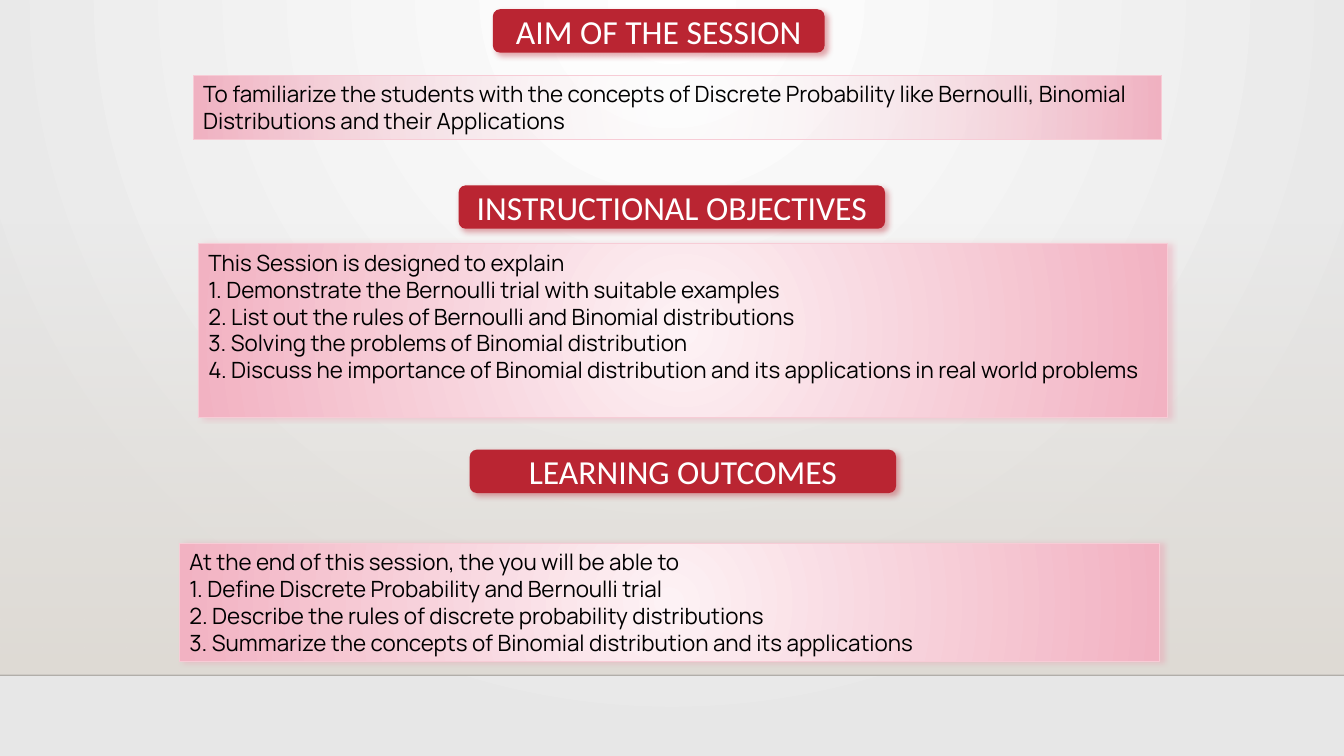
from dataclasses import dataclass

from lxml import etree
from pptx import Presentation, util as u
from pptx.dml.color import RGBColor
from pptx.enum import shapes, text
from pptx.oxml import ns


@dataclass(frozen=True)
class Theme:
    red: str = "BA2532"
    blush: str = "FDF2F5"
    pink: str = "F2B2C2"
    edge: str = "F7CCD6"
    rose: str = "EE99AD"
    white: str = "FFFFFF"
    grey: str = "E7E7E7"
    sand: str = "DFDBD5"
    ink: str = "000000"
    heading_font: str = "Calibri"
    body_font: str = "Manrope"
    heading_size: int = 24
    body_size: int = 16


def rgb(value):
    return RGBColor.from_string(value)


def child(parent, tag, **attributes):
    node = etree.SubElement(parent, ns.qn(tag))
    for name, value in attributes.items():
        node.set(name, str(value))
    return node


def tint(parent, color, opacity):
    node = child(parent, "a:srgbClr", val=color)
    if opacity < 100:
        child(node, "a:alpha", val=opacity * 1000)


def blend(properties, stops, focus=None, angle=0):
    solid = properties.find(ns.qn("a:solidFill"))
    gradient = etree.Element(ns.qn("a:gradFill"), rotWithShape="1")
    stop_list = child(gradient, "a:gsLst")
    for position, color, opacity in stops:
        tint(child(stop_list, "a:gs", pos=position * 1000), color, opacity)
    if focus:
        circle = child(gradient, "a:path", path="circle")
        sides = {side: share * 1000 for side, share in zip("ltrb", focus)}
        child(circle, "a:fillToRect", **sides)
    else:
        child(gradient, "a:lin", ang=angle * 60000, scaled=0)
    properties.replace(solid, gradient)


def write(shape, lines, *, font, size, color, align, anchor):
    frame = shape.text_frame
    frame.word_wrap = True
    frame.vertical_anchor = anchor
    for index, line in enumerate(lines):
        paragraph = frame.add_paragraph() if index else frame.paragraphs[0]
        paragraph.alignment = align
        run = paragraph.add_run()
        run.text = line
        run.font.name = font
        run.font.size = u.Pt(size)
        run.font.color.rgb = rgb(color)


class SessionSlide:
    def __init__(self, deck, theme):
        self.theme = theme
        self.slide = deck.slides.add_slide(deck.slide_layouts[6])

    def backdrop(self):
        self.slide.background.fill.solid()
        properties = self.slide.element.xpath(".//p:bgPr")[0]
        stops = [(0, self.theme.white, 100), (100, self.theme.grey, 100)]
        blend(properties, stops, focus=(43, 0, 43, 100))

    def block(self, kind, box, color):
        shape = self.slide.shapes.add_shape(kind, *map(u.Pt, box))
        shape.shadow.inherit = False
        shape.fill.solid()
        shape.fill.fore_color.rgb = rgb(color)
        shape.line.fill.background()
        return shape

    def cast_shadow(self, shape, color, angle):
        effects = shape.element.spPr.find(ns.qn("a:effectLst"))
        shadow = child(effects, "a:outerShdw", blurRad=u.Pt(4), dist=u.Pt(3),
                       dir=angle * 60000, algn="tl", rotWithShape=0)
        tint(shadow, color, 40)

    def wall(self, top, width, height):
        wall = self.block(shapes.MSO_SHAPE.RECTANGLE, (0, top, width, height), self.theme.sand)
        stops = [(0, self.theme.sand, 0), (100, self.theme.sand, 100)]
        blend(wall.element.spPr, stops, angle=90)

    def floor_line(self, top, width):
        edge = self.slide.shapes.add_connector(
            shapes.MSO_CONNECTOR.STRAIGHT, 0, u.Pt(top), u.Pt(width), u.Pt(top))
        edge.line.width = u.Pt(1)
        edge.line.color.rgb = rgb(self.theme.ink)
        ink = edge.element.spPr.find(".//" + ns.qn("a:srgbClr"))
        child(ink, "a:alpha", val=20000)
        child(edge.element.spPr, "a:effectLst")

    def heading(self, title, left, top, width):
        theme = self.theme
        heading = self.block(shapes.MSO_SHAPE.ROUNDED_RECTANGLE, (left, top, width, 31), theme.red)
        self.cast_shadow(heading, theme.red, 45)
        write(heading, [title], font=theme.heading_font, size=theme.heading_size,
              color=theme.white, align=text.PP_ALIGN.CENTER, anchor=text.MSO_ANCHOR.MIDDLE)

    def panel(self, lines, box, center_opacity=100, shadow=True):
        theme = self.theme
        panel = self.block(shapes.MSO_SHAPE.RECTANGLE, box, theme.pink)
        stops = [(0, theme.blush, center_opacity), (100, theme.pink, 100)]
        blend(panel.element.spPr, stops, focus=(50, 50, 50, 50))
        panel.line.color.rgb = rgb(theme.edge)
        panel.line.width = u.Pt(0.75)
        if shadow:
            self.cast_shadow(panel, theme.rose, 0)
        write(panel, lines, font=theme.body_font, size=theme.body_size,
              color=theme.ink, align=text.PP_ALIGN.LEFT, anchor=text.MSO_ANCHOR.TOP)


def main():
    width, height = 960, 540
    deck = Presentation()
    deck.slide_width, deck.slide_height = u.Pt(width), u.Pt(height)

    session = SessionSlide(deck, Theme())
    session.backdrop()
    session.wall(159, width, 323.3)
    session.floor_line(482.3, width)

    session.heading("AIM OF THE SESSION", 352, 6.6, 237)
    session.panel([
        "To familiarize the students with the concepts of Discrete Probability like "
        "Bernoulli, Binomial Distributions and their Applications",
    ], (138, 53.8, 692, 46), center_opacity=0, shadow=False)

    session.heading("INSTRUCTIONAL OBJECTIVES", 327.6, 132.4, 304.6)
    session.panel([
        "This Session is designed to explain",
        "1. Demonstrate the Bernoulli trial with suitable examples",
        "2. List out the rules of Bernoulli and Binomial distributions",
        "3. Solving the problems of Binomial distribution",
        "4. Discuss he importance of Binomial distribution and its applications "
        "in real world problems",
    ], (141.8, 174.3, 692, 123.7))

    session.heading("LEARNING OUTCOMES", 335.5, 321.2, 304.6)
    session.panel([
        "At the end of this session, the you will be able to",
        "1. Define Discrete Probability and Bernoulli trial",
        "2. Describe the rules of discrete probability distributions",
        "3. Summarize the concepts of Binomial distribution and its applications",
    ], (128.2, 388, 699.8, 84.8))

    deck.save("out.pptx")


if __name__ == "__main__":
    main()
